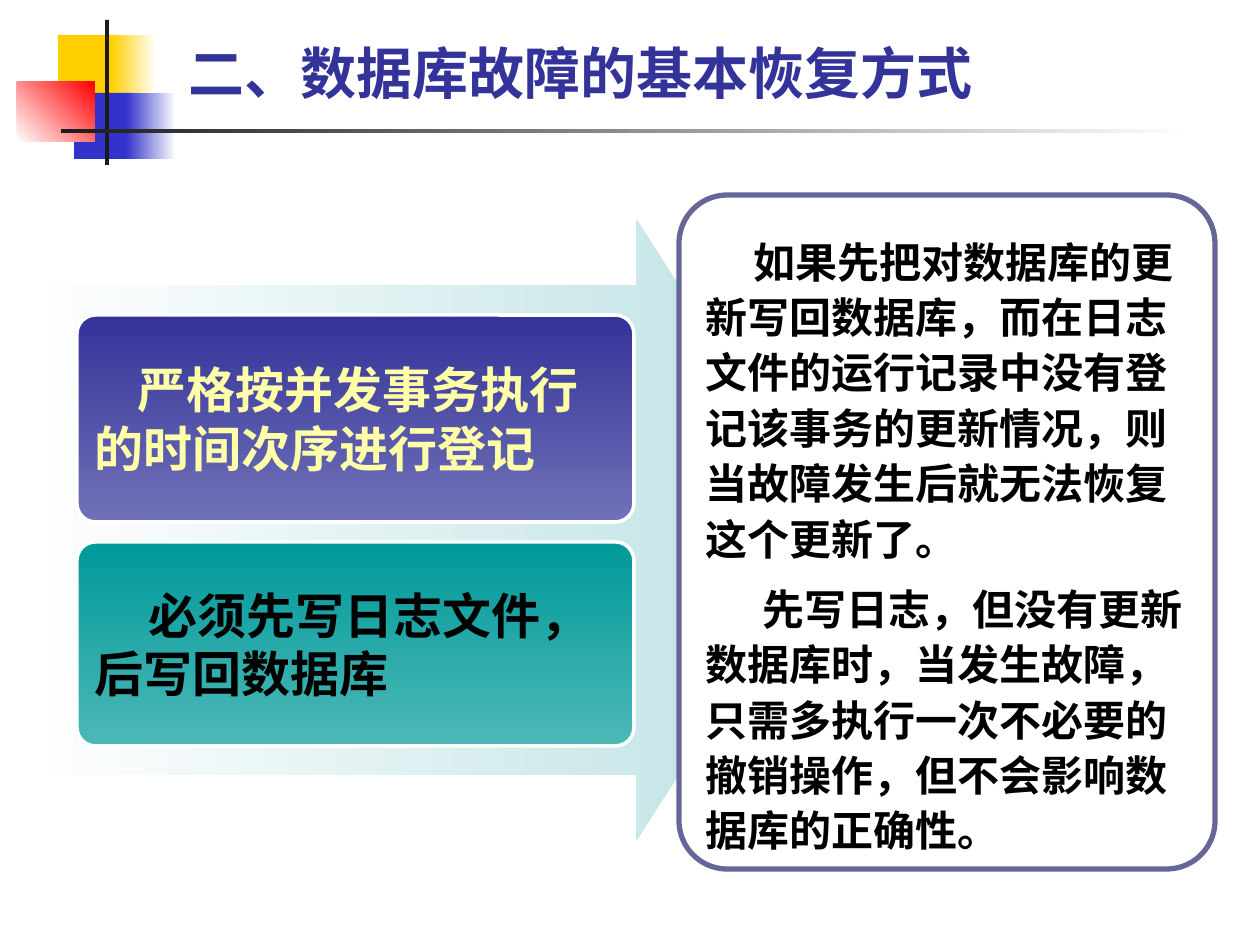
from dataclasses import dataclass
from typing import Optional

from lxml.etree import SubElement
from pptx import Presentation
from pptx.dml.color import RGBColor
from pptx.enum.shapes import MSO_SHAPE as Preset
from pptx.enum.text import MSO_ANCHOR as Anchor
from pptx.oxml.ns import qn
from pptx.util import Emu, Pt

PX_PER_INCH = 126
BODY_FONT = "Cabin"
TITLE_FONT = "Noto Sans CJK SC"
WHITE = "FFFFFF"
BLACK = "000000"


@dataclass(frozen=True)
class Paint:
    """A solid colour, or a gradient when an end colour is given."""
    start: str
    end: Optional[str] = None
    clockwise: int = 0


@dataclass(frozen=True)
class Block:
    """A preset shape with its place in px, paint and outline."""
    preset: Preset
    place: tuple[int, int, int, int]
    paint: Paint
    adjustments: tuple[float, ...] = ()
    outline: Optional[str] = None
    outline_pt: int = 0


@dataclass(frozen=True)
class Passage:
    """One paragraph with its first-line indent in px."""
    wording: str
    indent: int = 0


@dataclass(frozen=True)
class Style:
    """How the paragraphs of one text frame look."""
    size: int
    colour: str
    font: str = BODY_FONT
    anchor: Anchor = Anchor.MIDDLE
    line_spacing: Optional[float] = None
    gap_pt: float = 0


DECORATION = [
    Block(Preset.RECTANGLE, (58, 35, 60, 66), Paint("FFCF01")),
    Block(Preset.RECTANGLE, (111, 35, 45, 66), Paint("FFCF01", WHITE)),
    Block(Preset.RECTANGLE, (74, 93, 58, 66), Paint("3333CC")),
    Block(Preset.RECTANGLE, (126, 93, 50, 66), Paint("3333CC", WHITE)),
    Block(Preset.RECTANGLE, (17, 82, 78, 60), Paint(WHITE, "FF0000", 315)),
    Block(Preset.RECTANGLE, (105, 20, 4, 145), Paint("1C1C1C")),
    Block(Preset.RECTANGLE, (61, 129, 1134, 4), Paint("1C1C1C", WHITE)),
]
ARROW = Block(Preset.RIGHT_ARROW, (25, 220, 810, 620), Paint(WHITE, "BBE0E3"), (0.79, 0.32))
ROUNDING = (0.09,)
RULES = [
    (Block(Preset.ROUNDED_RECTANGLE, (77, 315, 557, 207), Paint("333399", "7171B8", 90),
           ROUNDING, WHITE, 2),
     Passage("严格按并发事务执行的时间次序进行登记", 43), Style(28, "FFFFA7")),
    (Block(Preset.ROUNDED_RECTANGLE, (77, 542, 557, 204), Paint("009999", "4DB8B8", 90),
           ROUNDING, WHITE, 2),
     Passage("必须先写日志文件，后写回数据库", 54), Style(28, BLACK)),
]
REASON_PANEL = Block(Preset.ROUNDED_RECTANGLE, (679, 195, 536, 674), Paint(WHITE),
                     ROUNDING, "666699", 3)
REASONS = [
    Passage("如果先把对数据库的更新写回数据库，而在日志文件的运行记录中没有登记该事务的更新情况，"
            "则当故障发生后就无法恢复这个更新了。", 48),
    Passage("先写日志，但没有更新数据库时，当发生故障，只需多执行一次不必要的撤销操作，"
            "但不会影响数据库的正确性。", 57),
]
REASON_STYLE = Style(24, BLACK, anchor=Anchor.TOP, line_spacing=1.1, gap_pt=8.4)


def px(length: int) -> Emu:
    """Turn px into EMU."""
    return Emu(round(length * 914400 / PX_PER_INCH))


def rgb(colour: str) -> RGBColor:
    """Turn a hex string into a colour."""
    return RGBColor.from_string(colour)


def apply_paint(fill, paint: Paint) -> None:
    """Fill with a solid colour or a two-stop gradient."""
    if paint.end is None:
        fill.solid()
        fill.fore_color.rgb = rgb(paint.start)
        return
    fill.gradient()
    fill.gradient_angle = -paint.clockwise % 360
    for stop, colour in zip(fill.gradient_stops, (paint.start, paint.end)):
        stop.color.rgb = rgb(colour)


def draw_block(slide, block: Block):
    """Draw one preset shape and return it."""
    shape = slide.shapes.add_shape(block.preset, *map(px, block.place))
    shape.shadow.inherit = False
    for index, value in enumerate(block.adjustments):
        shape.adjustments[index] = value
    apply_paint(shape.fill, block.paint)
    if block.outline:
        shape.line.color.rgb = rgb(block.outline)
        shape.line.width = Pt(block.outline_pt)
    else:
        shape.line.fill.background()
    return shape


def write(frame, passages: list[Passage], style: Style) -> None:
    """Write the passages into a text frame as bold, left-aligned paragraphs."""
    frame.word_wrap = True
    frame.vertical_anchor = style.anchor
    for index, passage in enumerate(passages):
        paragraph = frame.add_paragraph() if index else frame.paragraphs[0]
        properties = paragraph._p.get_or_add_pPr()
        properties.set("algn", "l")
        properties.set("indent", str(px(passage.indent)))
        if style.line_spacing:
            paragraph.line_spacing = style.line_spacing
        if index:
            paragraph.space_before = Pt(style.gap_pt)
        run = paragraph.add_run()
        run.text = passage.wording
        run.font.size = Pt(style.size)
        run.font.bold = True
        run.font.color.rgb = rgb(style.colour)
        run.font.name = style.font
        SubElement(run._r.get_or_add_rPr(), qn("a:ea")).set("typeface", style.font)


def main() -> None:
    """Build the slide and save it."""
    deck = Presentation()
    deck.slide_width, deck.slide_height = px(1260), px(945)
    slide = deck.slides.add_slide(deck.slide_layouts[6])
    for block in DECORATION:
        draw_block(slide, block)
    title = slide.shapes.add_textbox(*map(px, (176, 45, 930, 54)))
    write(title.text_frame, [Passage("二、数据库故障的基本恢复方式")],
          Style(32, "333399", TITLE_FONT))
    draw_block(slide, ARROW)
    for block, passage, style in RULES:
        write(draw_block(slide, block).text_frame, [passage], style)
    panel = draw_block(slide, REASON_PANEL).text_frame
    panel.margin_top = px(22)
    write(panel, REASONS, REASON_STYLE)
    deck.save("out.pptx")


if __name__ == "__main__":
    main()
